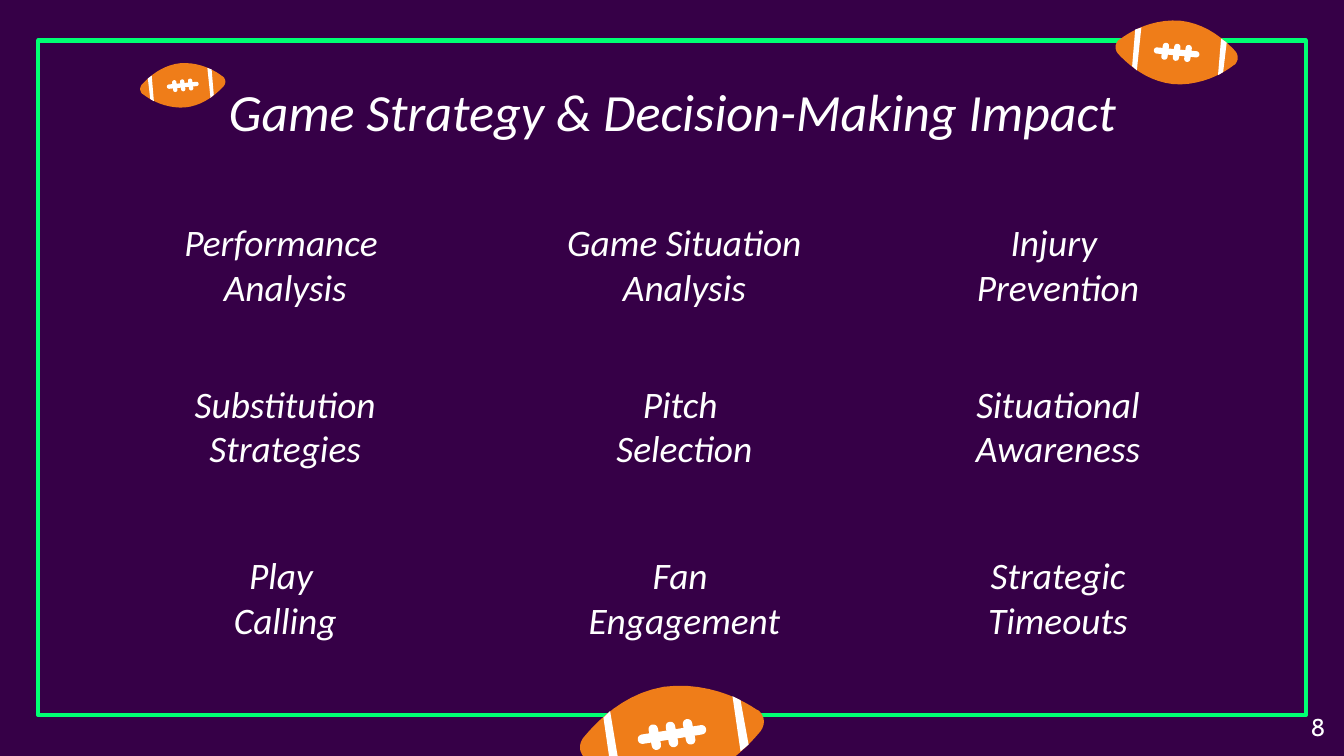
from dataclasses import dataclass
from math import atan2, cos, pi, radians, sin

from pptx import Presentation
from pptx import util as u
from pptx.dml.color import RGBColor
from pptx.enum import shapes, text

PURPLE = RGBColor(0x36, 0x00, 0x47)
GREEN = RGBColor(0x00, 0xFF, 0x73)
ORANGE = RGBColor(0xEF, 0x7D, 0x19)
WHITE = RGBColor(0xFF, 0xFF, 0xFF)

WIDTH = u.Inches(10)
HEIGHT = WIDTH * 9 // 16
Point = tuple[float, float]


@dataclass(frozen=True)
class Area:
    left: float
    top: float
    width: float
    height: float

    def lengths(self) -> tuple[int, int, int, int]:
        return (round(WIDTH * self.left / 100), round(HEIGHT * self.top / 100),
                round(WIDTH * self.width / 100), round(HEIGHT * self.height / 100))


@dataclass(frozen=True)
class Row:
    top: float
    height: float


@dataclass(frozen=True)
class Topic:
    content: str
    overhang: float = 0


@dataclass(frozen=True)
class Football:
    x: float
    y: float
    scale: float
    flip_x: int = 1
    flip_y: int = 1
    turn: float = 0

    def locate(self, point: Point) -> Point:
        x = point[0] * self.flip_x * self.scale / 100
        y = point[1] * self.flip_y * self.scale / 100
        angle = radians(self.turn)
        return (WIDTH * self.x / 100 + u.Inches(x * cos(angle) - y * sin(angle)),
                HEIGHT * self.y / 100 + u.Inches(x * sin(angle) + y * cos(angle)))


FRAME = Area(2.86, 5.36, 94.3, 89.24)
TITLE = Area(7.87, 8.71, 84.3, 11.2)
NUMBER = Area(93.6, 92.27, 6, 7.64)
COLUMNS = (10.43, 40.13, 67.93)
ROWS = (Row(27.02, 15.64), Row(49.07, 14.93), Row(71.07, 15.64))
TOPIC_WIDTH = 21.6
TOPICS = (
    (Topic("Performance \nAnalysis", 2.55), Topic("Game Situation Analysis"),
     Topic("Injury \nPrevention")),
    (Topic("Substitution Strategies"), Topic("Pitch \nSelection"),
     Topic("Situational Awareness")),
    (Topic("Play \nCalling"), Topic("Fan \nEngagement"), Topic("Strategic Timeouts")),
)
FOOTBALLS = (
    Football(50, 97.16, 1),
    Football(87.55, 6.93, 0.66, flip_y=-1, turn=-3.5),
    Football(13.6, 11.29, 0.46, flip_x=-1, flip_y=-1, turn=3.5),
)
HALF_OUTLINE = (
    ((68, -12.5), (67, -14.5), (66, -17.5), (63, -18.5)),
    ((63, -18.5), (50, -27.5), (24, -39.5), (-6, -35.5)),
    ((-6, -35.5), (-36, -30.5), (-56, -9.5), (-66, 2.5)),
    ((-66, 2.5), (-68, 5.5), (-69, 8.5), (-68, 12.5)),
)
STRIPES = (
    ((51, -25.5), (45, -28.5), (51, 12.5), (57, 7.5)),
    ((-46, -17.5), (-51, -12.5), (-45, 28.5), (-38, 30.5)),
)
LACE_RADIUS = 3.5


def curve_points(curve: tuple[Point, ...], steps: int = 10) -> list[Point]:
    weights = [((1 - t) ** 3, 3 * t * (1 - t) ** 2, 3 * t * t * (1 - t), t ** 3)
               for t in (step / steps for step in range(steps))]
    return [(sum(w * p[0] for w, p in zip(weight, curve)),
             sum(w * p[1] for w, p in zip(weight, curve))) for weight in weights]


def lace_points(start: Point, end: Point, steps: int = 8) -> list[Point]:
    heading = atan2(end[1] - start[1], end[0] - start[0])
    return [(center[0] + LACE_RADIUS * cos(angle), center[1] + LACE_RADIUS * sin(angle))
            for center, first in ((end, heading - pi / 2), (start, heading + pi / 2))
            for angle in (first + pi * step / steps for step in range(steps + 1))]


def draw_outline(slide, football: Football, points, color: RGBColor) -> None:
    located = [football.locate(point) for point in points]
    builder = slide.shapes.build_freeform(*located[0])
    builder.add_line_segments(located[1:], close=True)
    shape = builder.convert_to_shape()
    shape.shadow.inherit = False
    shape.fill.solid()
    shape.fill.fore_color.rgb = color
    shape.line.fill.background()


def draw_football(slide, football: Football) -> None:
    half = [point for curve in HALF_OUTLINE for point in curve_points(curve)]
    draw_outline(slide, football, half + [(-x, -y) for x, y in half], ORANGE)
    laces = [lace_points((-22, 3.5), (22, -3.5))]
    for side in (-1, 0, 1):
        x, y = 12.75 * side, -2 * side
        laces.append(lace_points((x - 1.2, y - 6), (x + 1.2, y + 6)))
    for points in (*STRIPES, *laces):
        draw_outline(slide, football, points, WHITE)


def write_text(shape, content: str, size: float, font: str, italic: bool,
               alignment, anchor) -> None:
    frame = shape.text_frame
    frame.text = content
    frame.word_wrap = True
    frame.auto_size = text.MSO_AUTO_SIZE.NONE
    frame.vertical_anchor = anchor
    frame.margin_left = frame.margin_right = u.Inches(0.1)
    frame.margin_top = frame.margin_bottom = u.Inches(0.1)
    for paragraph in frame.paragraphs:
        paragraph.alignment = alignment
        for run in paragraph.runs:
            run.font.size = u.Pt(size)
            run.font.name = font
            run.font.italic = italic
            run.font.color.rgb = WHITE


def draw_frame(slide) -> None:
    frame = slide.shapes.add_shape(shapes.MSO_SHAPE.RECTANGLE, *FRAME.lengths())
    frame.shadow.inherit = False
    frame.fill.background()
    frame.line.color.rgb = GREEN
    frame.line.width = u.Pt(2.25)


def draw_topic(slide, left: float, row: Row, topic: Topic) -> None:
    area = Area(left - topic.overhang, row.top,
                TOPIC_WIDTH + 2 * topic.overhang, row.height)
    write_text(slide.shapes.add_textbox(*area.lengths()), topic.content, 20, "Calibri",
               True, text.PP_ALIGN.CENTER, text.MSO_ANCHOR.BOTTOM)


def main() -> None:
    presentation = Presentation()
    presentation.slide_width, presentation.slide_height = WIDTH, HEIGHT
    slide = presentation.slides.add_slide(presentation.slide_layouts[5])
    slide.background.fill.solid()
    slide.background.fill.fore_color.rgb = PURPLE

    title = slide.shapes.title
    title.left, title.top, title.width, title.height = TITLE.lengths()
    write_text(title, "Game Strategy & Decision-Making Impact", 28, "Calibri", True,
               text.PP_ALIGN.CENTER, text.MSO_ANCHOR.TOP)

    draw_frame(slide)
    for football in FOOTBALLS:
        draw_football(slide, football)

    for row, topics in zip(ROWS, TOPICS):
        for left, topic in zip(COLUMNS, topics):
            draw_topic(slide, left, row, topic)

    write_text(slide.shapes.add_textbox(*NUMBER.lengths()), "8", 13, "Cabin", False,
               text.PP_ALIGN.RIGHT, text.MSO_ANCHOR.MIDDLE)
    presentation.save("out.pptx")


if __name__ == "__main__":
    main()
